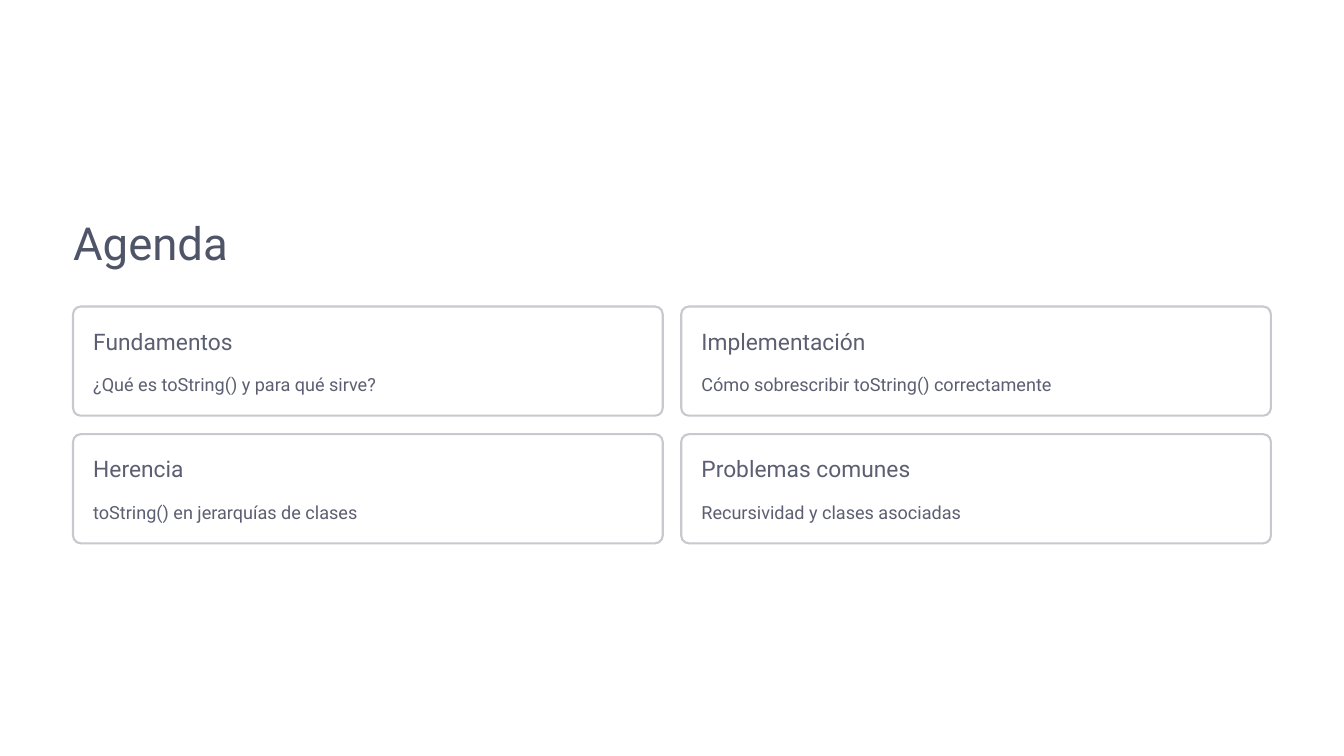
from pptx import Presentation
from pptx.dml.color import RGBColor
from pptx.enum.shapes import MSO_SHAPE as Shape
from pptx.util import Cm, Pt

TITLE = "Agenda"
TOPICS = [
    ("Fundamentos", "¿Qué es toString() y para qué sirve?"),
    ("Implementación", "Cómo sobrescribir toString() correctamente"),
    ("Herencia", "toString() en jerarquías de clases"),
    ("Problemas comunes", "Recursividad y clases asociadas"),
]

FONT = "Roboto"
TITLE_COLOR = RGBColor(0x50, 0x54, 0x68)
TEXT_COLOR = RGBColor(0x5B, 0x5F, 0x71)
BORDER_COLOR = RGBColor(0xC8, 0xC9, 0xCF)

# Lengths in centimetres
MARGIN, GRID_TOP = 2.21, 9.27
CARD_WIDTH, CARD_HEIGHT, GAP = 17.83, 3.3, 0.56
COLUMNS = 2
PADDING = 0.61
DETAIL_OFFSET = 1.8


def add_text(slide, text, left, top, width, height, size, line_height, color):
    box = slide.shapes.add_textbox(Cm(left), Cm(top), Cm(width), Cm(height))
    frame = box.text_frame
    frame.margin_left = frame.margin_right = 0
    frame.margin_top = frame.margin_bottom = 0
    frame.word_wrap = False
    paragraph = frame.paragraphs[0]
    paragraph.text = text
    paragraph.line_spacing = Pt(line_height)
    paragraph.font.name = FONT
    paragraph.font.size = Pt(size)
    paragraph.font.color.rgb = color


def add_card(slide, left, top, heading, detail):
    card = slide.shapes.add_shape(
        Shape.ROUNDED_RECTANGLE, Cm(left), Cm(top), Cm(CARD_WIDTH), Cm(CARD_HEIGHT))
    card.adjustments[0] = 0.07
    card.shadow.inherit = False
    card.fill.background()
    card.line.color.rgb = BORDER_COLOR
    card.line.width = Pt(1.8)
    text_left = left + PADDING
    add_text(slide, heading, text_left, top + PADDING, 6.88, 0.86, 19.5, 24, TEXT_COLOR)
    add_text(slide, detail, text_left, top + DETAIL_OFFSET,
             CARD_WIDTH - 2 * PADDING, 0.89, 15.5, 25, TEXT_COLOR)


def main():
    presentation = Presentation()
    presentation.slide_width = Cm(40.64)
    presentation.slide_height = Cm(22.86)
    slide = presentation.slides.add_slide(presentation.slide_layouts[6])

    add_text(slide, TITLE, MARGIN, 6.43, 13.79, 1.73, 39, 48.5, TITLE_COLOR)
    for index, (heading, detail) in enumerate(TOPICS):
        row, column = divmod(index, COLUMNS)
        add_card(slide, MARGIN + column * (CARD_WIDTH + GAP),
                 GRID_TOP + row * (CARD_HEIGHT + GAP), heading, detail)

    presentation.save("out.pptx")


if __name__ == "__main__":
    main()
